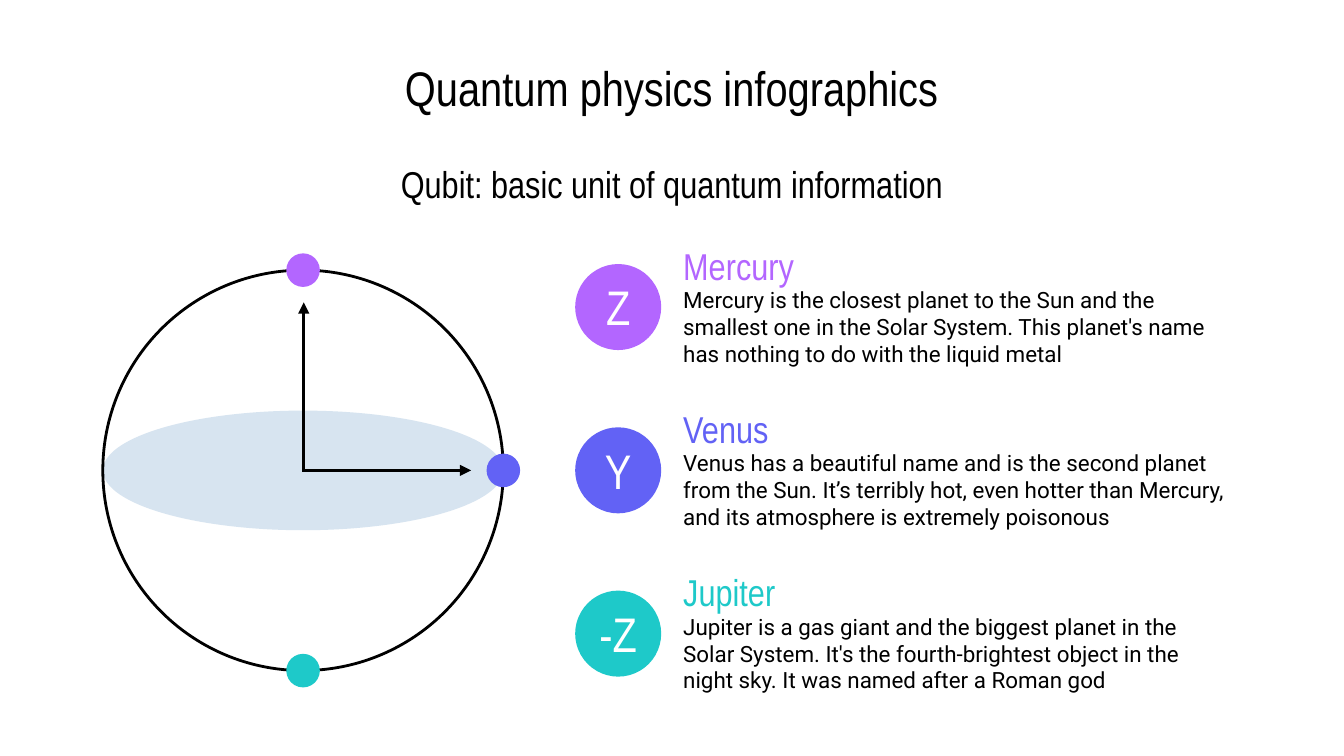
from pptx import Presentation
from pptx.dml.color import RGBColor
from pptx.enum.shapes import MSO_CONNECTOR, MSO_SHAPE
from pptx.enum.text import MSO_ANCHOR, PP_ALIGN
from pptx.oxml.ns import qn
from pptx.util import Pt
from lxml.etree import SubElement

PX = 4572
HEADING_FONT, BODY_FONT = "Arial Narrow", "Roboto"
BLACK, WHITE, DISC = "000000", "FFFFFF", "D7E4F0"
PURPLE, INDIGO, TEAL = "B366FF", "6262F5", "1EC9C9"
STATES = [
    ("Z", "Mercury", PURPLE,
     "Mercury is the closest planet to the Sun and the smallest one in the Solar System. "
     "This planet's name has nothing to do with the liquid metal"),
    ("Y", "Venus", INDIGO,
     "Venus has a beautiful name and is the second planet from the Sun. "
     "It’s terribly hot, even hotter than Mercury, and its atmosphere is extremely poisonous"),
    ("-Z", "Jupiter", TEAL,
     "Jupiter is a gas giant and the biggest planet in the Solar System. "
     "It's the fourth-brightest object in the night sky. It was named after a Roman god"),
]


def emu(*lengths):
    """Turn px lengths into EMU."""
    return [length * PX for length in lengths]


def paint(color_format, color):
    """Set a colour from a hex string."""
    color_format.rgb = RGBColor.from_string(color)


def write(shape, text, size, font, color, align=PP_ALIGN.LEFT, insets=(20, 20, 20, 20)):
    """Put one styled paragraph, vertically centred, into a shape."""
    frame = shape.text_frame
    frame.text = text
    frame.word_wrap = True
    frame.vertical_anchor = MSO_ANCHOR.MIDDLE
    (frame.margin_left, frame.margin_top,
     frame.margin_right, frame.margin_bottom) = emu(*insets)
    paragraph = frame.paragraphs[0]
    paragraph.alignment = align
    run_font = paragraph.runs[0].font
    run_font.size, run_font.name = Pt(size), font
    paint(run_font.color, color)


def add_text(slide, box, *style):
    """Add a text box with one styled paragraph."""
    write(slide.shapes.add_textbox(*emu(*box)), *style)


def add_ellipse(slide, box, fill=None, outline=None):
    """Add an ellipse with an optional fill and outline."""
    ellipse = slide.shapes.add_shape(MSO_SHAPE.OVAL, *emu(*box))
    ellipse.shadow.inherit = False
    if fill:
        ellipse.fill.solid()
        paint(ellipse.fill.fore_color, fill)
    else:
        ellipse.fill.background()
    if outline:
        ellipse.line.width = Pt(1.5)
        paint(ellipse.line.color, outline)
    else:
        ellipse.line.fill.background()
    return ellipse


def add_arrow(slide, start, end):
    """Add a black arrow between two points."""
    arrow = slide.shapes.add_connector(MSO_CONNECTOR.STRAIGHT, *emu(*start, *end))
    arrow.line.width = Pt(1.5)
    paint(arrow.line.color, BLACK)
    properties = arrow._element.spPr
    SubElement(properties.find(qn("a:ln")), qn("a:tailEnd"), type="triangle")
    SubElement(properties, qn("a:effectLst"))


def add_headings(slide, left, top, width):
    """Add the title and the subtitle below it."""
    add_text(slide, (left, top, width, 126), "Quantum physics infographics",
             26, HEADING_FONT, BLACK, PP_ALIGN.CENTER)
    add_text(slide, (left, top + 170, width, 74), "Qubit: basic unit of quantum information",
             20, HEADING_FONT, BLACK, PP_ALIGN.CENTER)


def add_qubit_sphere(slide, left, top, diameter):
    """Add the sphere with its equator, poles and axes."""
    radius = diameter // 2
    center_x, center_y = left + radius, top + radius
    equator, pole, reach = 178, 50, 250
    add_ellipse(slide, (left, center_y - equator // 2, diameter, equator), fill=DISC)
    add_ellipse(slide, (left, top, diameter, diameter), outline=BLACK)
    poles = [(center_x, top, PURPLE), (center_x, top + diameter, TEAL),
             (left + diameter, center_y, INDIGO)]
    for x, y, color in poles:
        add_ellipse(slide, (x - pole // 2, y - pole // 2, pole, pole), fill=color)
    add_arrow(slide, (center_x + 1, center_y + 2), (center_x + 1, center_y - reach))
    add_arrow(slide, (center_x, center_y), (center_x + reach, center_y))


def add_state(slide, left, top, width, symbol, planet, color, description):
    """Add a lettered badge with its heading and description."""
    badge = add_ellipse(slide, (left, top + 35, 128, 128), fill=color)
    write(badge, symbol, 26, HEADING_FONT, WHITE, PP_ALIGN.CENTER, (0, 20, 0, 22))
    text_left, text_width = left + 141, width - 141
    add_text(slide, (text_left, top, text_width, 74), planet, 20, HEADING_FONT, color)
    add_text(slide, (text_left, top + 65, text_width, 126), description,
             12, BODY_FONT, BLACK)


def main():
    """Build and save the slide."""
    presentation = Presentation()
    presentation.slide_width, presentation.slide_height = emu(2000, 1125)
    slide = presentation.slides.add_slide(presentation.slide_layouts[6])
    add_qubit_sphere(slide, 153, 402, 596)
    for row, state in enumerate(STATES):
        add_state(slide, 856, 358 + row * 243, 991, *state)
    add_headings(slide, 439, 66, 1122)
    presentation.save("out.pptx")


if __name__ == "__main__":
    main()
